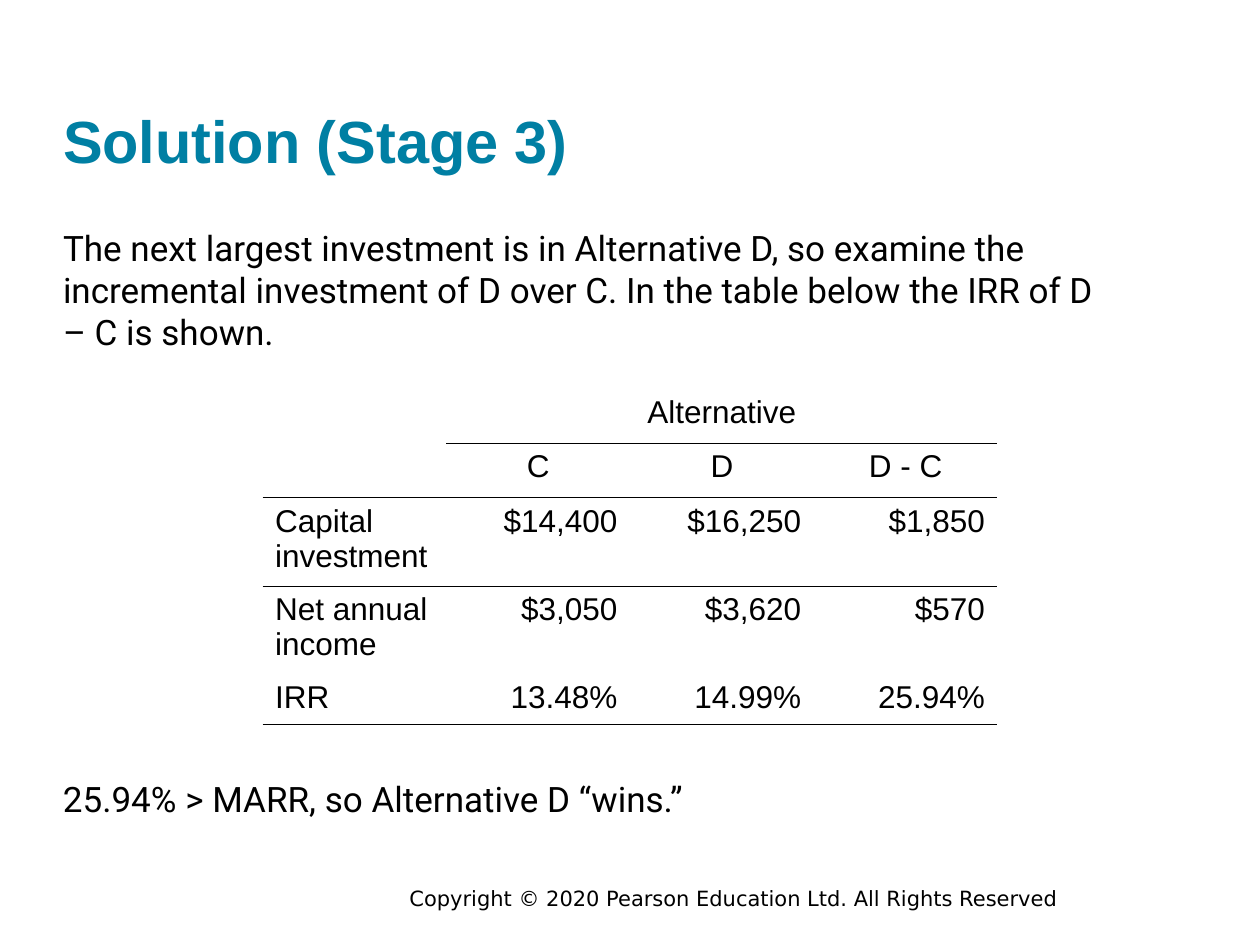
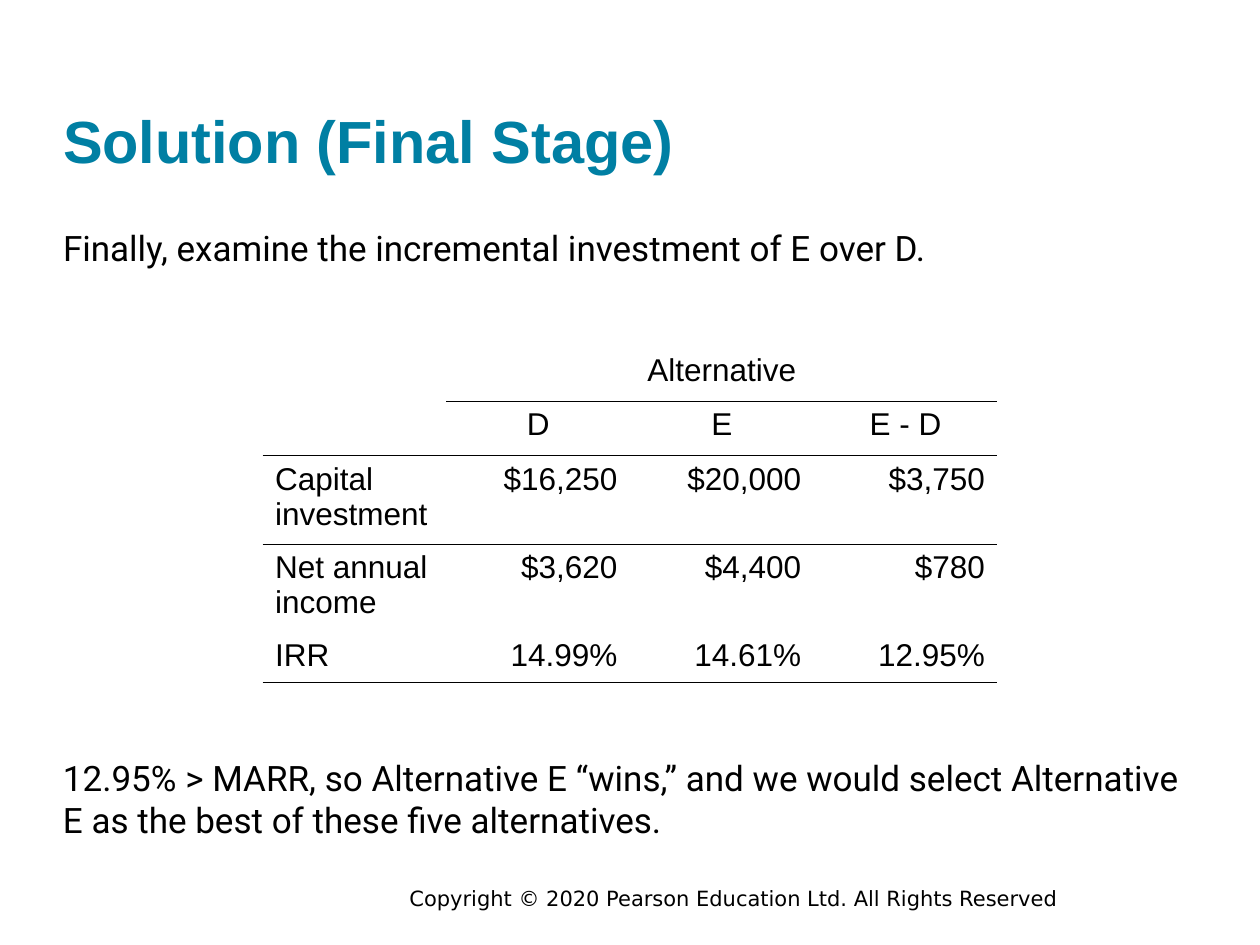
import pptx
import pptx.dml.color
import pptx.enum.text
import pptx.oxml.ns
import pptx.util
from dataclasses import dataclass
from lxml import etree

ALIGN = pptx.enum.text.PP_ALIGN
ANCHOR = pptx.enum.text.MSO_ANCHOR


@dataclass(frozen=True)
class Theme:
    """Type styles as (font, size, colour, bold)."""
    title: tuple = ("Arial", 34, "007FA3", True)
    body: tuple = ("Roboto", 20, "000000", False)
    table: tuple = ("Arial", 18, "000000", False)
    footer: tuple = ("DejaVu Sans", 12, "000000", False)
    rule_color: str = "000000"
    rule_width: float = 0.25


THEME = Theme()
UNIT = pptx.util.Inches(1) / 12  # the slide is a grid of 120 columns by 90 rows

# Boxes are (left, top, width, height) in grid units
TITLE_BOX = (6, 9.84, 108, 6.84)
FOOTER_BOX = (39, 84.36, 79, 2.4)
TABLE_LEFT, COLUMN_WIDTH = 25, 17.5
ROW_HEIGHTS = (5.2, 5.2, 8.4, 8.4, 4.8)
ROW_LABELS = ("Capital investment", "Net annual income", "IRR")
FOOTER = "Copyright © 2020 Pearson Education Ltd. All Rights Reserved"

SLIDES = [
    dict(
        title="Solution (Stage 3)",
        intro="The next largest investment is in Alternative D, so examine the "
              "incremental investment of D over C. In the table below the IRR "
              "of D – C is shown.",
        intro_box=(6, 21.6, 99, 12.1),
        table_top=37,
        alternatives=("C", "D", "D - C"),
        values=(("$14,400", "$16,250", "$1,850"),
                ("$3,050", "$3,620", "$570"),
                ("13.48%", "14.99%", "25.94%")),
        conclusion="25.94% > MARR, so Alternative D “wins.”",
        conclusion_box=(6, 74, 108, 4),
    ),
    dict(
        title="Solution (Final Stage)",
        intro="Finally, examine the incremental investment of E over D.",
        intro_box=(6, 21.6, 99, 4),
        table_top=33,
        alternatives=("D", "E", "E - D"),
        values=(("$16,250", "$20,000", "$3,750"),
                ("$3,620", "$4,400", "$780"),
                ("14.99%", "14.61%", "12.95%")),
        conclusion="12.95% > MARR, so Alternative E “wins,” and we would select "
                   "Alternative E as the best of these five alternatives.",
        conclusion_box=(6, 72, 108, 8),
    ),
]


def grid(*lengths):
    return [pptx.util.Emu(round(length * UNIT)) for length in lengths]


def set_values(target, values):
    for name, value in values.items():
        setattr(target, name, value)


def write(text_frame, text, style, alignment=ALIGN.LEFT):
    text_frame.text = text
    paragraph = text_frame.paragraphs[0]
    paragraph.alignment = alignment
    name, size, color, bold = style
    set_values(paragraph.font, dict(name=name, size=pptx.util.Pt(size), bold=bold))
    paragraph.font.color.rgb = pptx.dml.color.RGBColor.from_string(color)


def fill_text_box(shape, text, style, anchor=ANCHOR.TOP):
    set_values(shape.text_frame, dict(
        margin_left=0, margin_top=0, margin_right=0, margin_bottom=0,
        word_wrap=True, vertical_anchor=anchor,
        auto_size=pptx.enum.text.MSO_AUTO_SIZE.NONE))
    write(shape.text_frame, text, style)


def add_text(slide, box, text, style):
    fill_text_box(slide.shapes.add_textbox(*grid(*box)), text, style)


def add_title(slide, box, text):
    shape = slide.shapes.title
    set_values(shape, dict(zip(("left", "top", "width", "height"), grid(*box))))
    fill_text_box(shape, text, THEME.title, ANCHOR.BOTTOM)


def is_ruled(edge, column):
    """Tell whether the horizontal edge above row number `edge` has a rule."""
    return edge in (2, 3, len(ROW_HEIGHTS)) or (edge == 1 and column > 0)


def set_borders(cell, row, column):
    properties = cell._tc.get_or_add_tcPr()
    sides = dict(lnL=False, lnR=False,
                 lnT=is_ruled(row, column), lnB=is_ruled(row + 1, column))
    qn = pptx.oxml.ns.qn
    for side, ruled in sides.items():
        line = etree.SubElement(properties, qn(f"a:{side}"))
        if ruled:
            line.set("w", str(pptx.util.Pt(THEME.rule_width)))
            fill = etree.SubElement(line, qn("a:solidFill"))
            etree.SubElement(fill, qn("a:srgbClr"), val=THEME.rule_color)
        else:
            etree.SubElement(line, qn("a:noFill"))


def cell_alignment(row, column):
    if row < 2:
        return ALIGN.CENTER
    return ALIGN.RIGHT if column else ALIGN.LEFT


def add_comparison_table(slide, left, top, alternatives, values):
    rows = [("", "Alternative", "", ""), ("", *alternatives)]
    rows += [(label, *figures) for label, figures in zip(ROW_LABELS, values)]
    column_count = len(rows[0])
    box = grid(left, top, COLUMN_WIDTH * column_count, sum(ROW_HEIGHTS))
    table = slide.shapes.add_table(len(rows), column_count, *box).table
    set_values(table, dict(first_row=False, horz_banding=False))
    for table_column in table.columns:
        table_column.width, = grid(COLUMN_WIDTH)
    for table_row, height in zip(table.rows, ROW_HEIGHTS):
        table_row.height, = grid(height)
    table.cell(0, 1).merge(table.cell(0, column_count - 1))
    for row, texts in enumerate(rows):
        for column, text in enumerate(texts):
            cell = table.cell(row, column)
            write(cell.text_frame, text, THEME.table, cell_alignment(row, column))
            set_borders(cell, row, column)
            cell.fill.background()


def add_solution_slide(presentation, content):
    slide = presentation.slides.add_slide(presentation.slide_layouts[5])
    add_text(slide, FOOTER_BOX, FOOTER, THEME.footer)
    add_title(slide, TITLE_BOX, content["title"])
    add_text(slide, content["intro_box"], content["intro"], THEME.body)
    add_comparison_table(slide, TABLE_LEFT, content["table_top"],
                         content["alternatives"], content["values"])
    add_text(slide, content["conclusion_box"], content["conclusion"], THEME.body)


def main():
    presentation = pptx.Presentation()
    presentation.slide_width, presentation.slide_height = grid(120, 90)
    for content in SLIDES:
        add_solution_slide(presentation, content)
    presentation.save("out.pptx")


if __name__ == "__main__":
    main()
